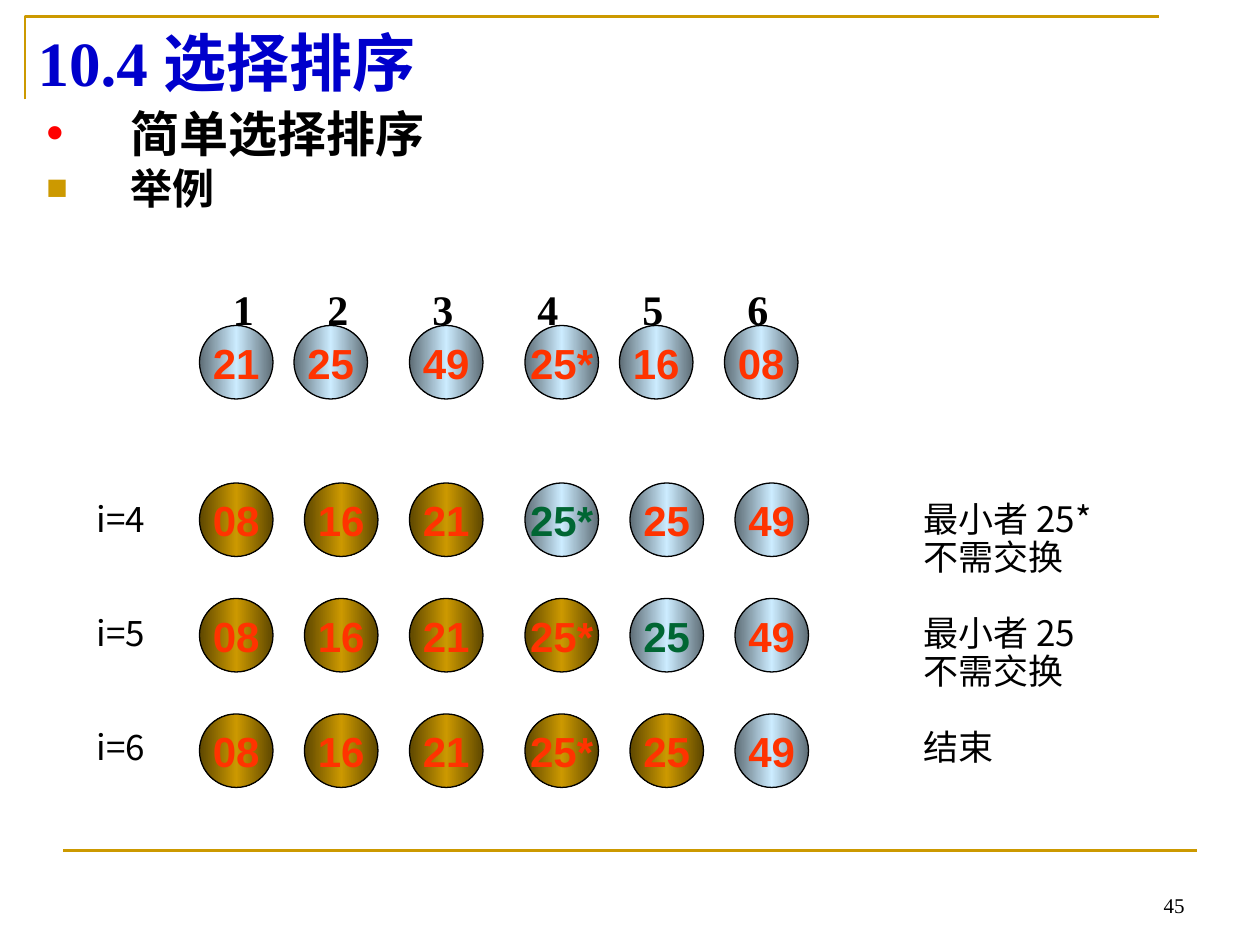
"""Build a slide that steps through simple selection sort."""
from copy import deepcopy

from lxml.etree import SubElement as Sub
from pptx import Presentation
from pptx.dml.color import RGBColor as RGB
from pptx.enum.shapes import MSO_CONNECTOR as CONN, MSO_SHAPE as SHAPE
from pptx.enum.text import MSO_ANCHOR as ANCHOR, PP_ALIGN as ALIGN
from pptx.oxml.ns import qn
from pptx.util import Inches, Pt

C = {"gold": "CC9900", "dark_gold": "5E4700", "ice": "CCECFF", "dark_ice": "5E6D76",
     "black": "000000", "title": "0000CC", "key": "FF3300", "min": "006633", "dot": "FF0000"}
NOTO, TIMES, ARIAL = "Noto Sans CJK SC", "Times New Roman", "Arial"
U = Inches(1) / 12


def fmt(p, size, font, color="black", bold=False):
    for r in p.runs:
        r.font.size, r.font.name, r.font.bold = Pt(size), font, bold
        r.font.color.rgb = RGB.from_string(C[color])
        Sub(r.font._element, qn("a:ea"), typeface=NOTO)


def textbox(x, y, w, h, lines, size, font, color="black", bold=False):
    tf = s.shapes.add_textbox(Inches(x), Inches(y), Inches(w), Inches(h)).text_frame
    tf.word_wrap = True
    tf.text = "\n".join(lines)
    for p in tf.paragraphs:
        fmt(p, size, font, color, bold)
    return tf


prs = Presentation()
prs.slide_width, prs.slide_height = Inches(10), Inches(7.5)
s = prs.slides.add_slide(prs.slide_layouts[6])

fb = s.shapes.build_freeform(Inches(0.2), Inches(0.79))
fb.add_line_segments([(Inches(0.2), Inches(0.13)), (Inches(9.2), Inches(0.13))], close=False)
corner = fb.convert_to_shape()
corner.fill.background()
corner.shadow.inherit = False
rule = s.shapes.add_connector(CONN.STRAIGHT, Inches(0.5), Inches(6.75), Inches(9.5), Inches(6.75))
Sub(rule._element.spPr, qn("a:effectLst"))
for sp in (corner, rule):
    sp.line.color.rgb = RGB.from_string(C["gold"])
    sp.line.width = Pt(1.5)

tf = textbox(7.17, 6.83, 2.33, 0.5, ["45"], 12, TIMES)
tf.vertical_anchor = ANCHOR.BOTTOM
tf.paragraphs[0].alignment = ALIGN.RIGHT

tf = textbox(0.2, 0.13, 9, 0.71, ["10.4 选择排序"], 36, TIMES, "title", True)
tf.vertical_anchor = ANCHOR.MIDDLE

tf = textbox(0.27, 0.77, 9.21, 2.05, ["简单选择排序", "举例"], 28, NOTO, bold=True)
tf.paragraphs[1].runs[0].font.size = Pt(24)
for p, color, pct, char in zip(tf.paragraphs, ("dot", "gold"), (100, 85), "•■"):
    pPr = p._p.get_or_add_pPr()
    pPr.set("marL", str(Inches(0.67)))
    pPr.set("indent", str(-Inches(0.67)))
    Sub(Sub(pPr, qn("a:buClr")), qn("a:srgbClr"), val=C[color])
    Sub(pPr, qn("a:buSzPct"), val=str(pct * 1000))
    Sub(pPr, qn("a:buFont"), typeface=ARIAL)
    Sub(pPr, qn("a:buChar"), char=char)

tf = textbox(1.75, 2.2, 4.75, 0.5, ["\t".join("123456")], 24, TIMES, bold=True)
tabs = Sub(tf.paragraphs[0]._p.get_or_add_pPr(), qn("a:tabLst"))
for i in range(5):
    Sub(tabs, qn("a:tab"), pos=str(int((9 + 10 * i) * U)), algn="l")

start_cols = (19, 28, 39, 50, 59, 69)
pass_cols = (19, 29, 39, 50, 60, 70)
sorted_keys = ("08", "16", "21", "25*", "25", "49")
rows = [(31, start_cols, ("21", "25", "49", "25*", "16", "08"), 0, None),
        (46, pass_cols, sorted_keys, 3, 3),
        (57, pass_cols, sorted_keys, 4, 4),
        (68, pass_cols, sorted_keys, 5, None)]
for row, cols, keys, done, smallest in rows:
    for i, (col, key) in enumerate(zip(cols, keys)):
        sp = s.shapes.add_shape(SHAPE.OVAL, int(col * U), int(row * U), int(7 * U), int(7 * U))
        sp.shadow.inherit = False
        sp.line.color.rgb = RGB.from_string(C["black"])
        sp.line.width = Pt(0.75)
        sp.fill.gradient()
        sp.fill.gradient_angle = 0
        stops = sp._element.spPr.find(".//" + qn("a:gsLst"))
        stops.insert(1, deepcopy(stops[0]))
        hue = "gold" if i < done else "ice"
        for stop, pos, name in zip(sp.fill.gradient_stops, (0, 0.5, 1),
                                   ("dark_" + hue, hue, "dark_" + hue)):
            stop.position = pos
            stop.color.rgb = RGB.from_string(C[name])
        tf = sp.text_frame
        tf.word_wrap = False
        tf.vertical_anchor = ANCHOR.MIDDLE
        tf.text = key
        tf.paragraphs[0].alignment = ALIGN.CENTER
        fmt(tf.paragraphs[0], 24, ARIAL, "min" if i == smallest else "key", True)

LINE = 21.7
notes = ["最小者 25*", "不需交换", "最小者 25", "不需交换", "结束"]
for x, w, lines, gaps in ((7.23, 1.8, notes, (0, 0, 1, 0, 1)),
                          (0.67, 0.7, ["i=4", "i=5", "i=6"], (0, 2, 2))):
    tf = textbox(x, 3.93, w, 2.2, lines, 20, NOTO)
    for p, gap in zip(tf.paragraphs, gaps):
        p.line_spacing = Pt(LINE)
        p.space_before = Pt(gap * LINE)

prs.save("out.pptx")
